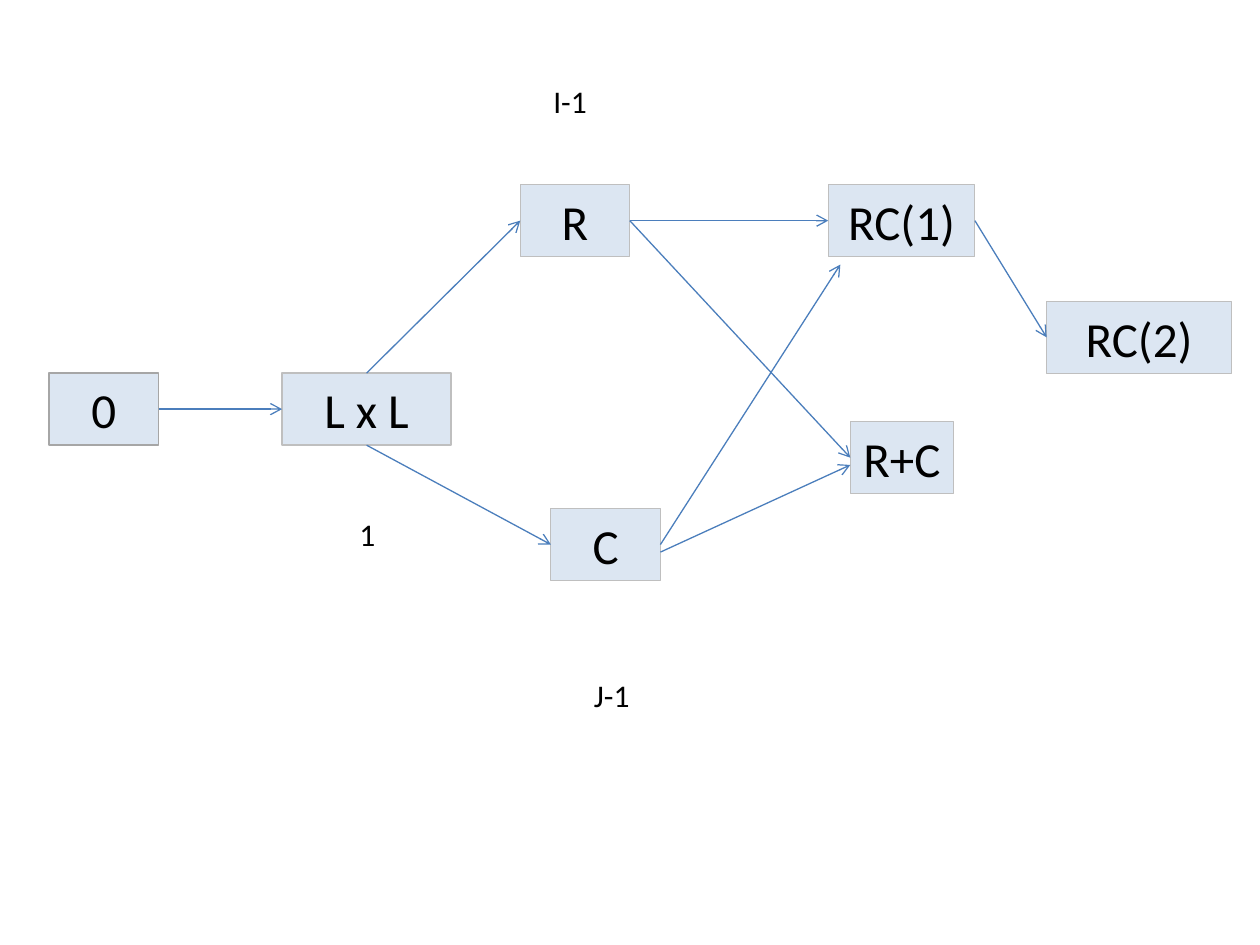
from pptx import Presentation, util as u
from pptx.dml.color import RGBColor
from pptx.enum import shapes, text
from pptx.oxml.ns import qn
from lxml import etree

Pt = u.Pt
HUES = {"fill": "DCE6F2", "edge": "BFBFBF", "start": "A6A6A6",
        "link": "4B7EBC", "text": "000000"}
TOP, LEFT, BOTTOM, RIGHT = range(4)
HIGH = 41.2


def write(shape, words, size=28, wrap=True):
    """Put centred text in a shape."""
    frame = shape.text_frame
    frame.word_wrap = wrap
    frame.auto_size = text.MSO_AUTO_SIZE.SHAPE_TO_FIT_TEXT
    para = frame.paragraphs[0]
    para.alignment = text.PP_ALIGN.CENTER
    run = para.add_run()
    run.text = words
    run.font.size = Pt(size)
    run.font.name = "Calibri"
    run.font.color.rgb = RGBColor.from_string(HUES["text"])


def link(start, end):
    """Draw an arrow between two points and return it."""
    line = slide.shapes.add_connector(
        shapes.MSO_CONNECTOR.STRAIGHT, *map(Pt, start + end))
    line.line.color.rgb = RGBColor.from_string(HUES["link"])
    line.line.width = Pt(0.75)
    tail = etree.SubElement(line.line._get_or_add_ln(), qn("a:tailEnd"))
    tail.set("type", "arrow")
    etree.SubElement(line._element.spPr, qn("a:effectLst"))
    return line


prs = Presentation()
prs.slide_width, prs.slide_height = Pt(720), Pt(540)
slide = prs.slides.add_slide(prs.slide_layouts[6])

# Nodes: words, left, top, width, edge colour, wrap
nodes = [
    ("0", 28.1, 213.2, 62.6, "start", True),
    ("L x L", 161.2, 213.2, 96.6, "edge", True),
    ("R", 297.3, 105.5, 62.6, "edge", True),
    ("C", 314.8, 290.6, 62.6, "edge", True),
    ("RC(1)", 473.3, 105.5, 83.8, "edge", True),
    ("RC(2)", 598.1, 172.2, 105.6, "edge", True),
    ("R+C", 485.9, 240.9, 59, "edge", False),
]
boxes = {}
for words, left, top, wide, edge, wrap in nodes:
    box = slide.shapes.add_shape(
        shapes.MSO_SHAPE.RECTANGLE, Pt(left), Pt(top), Pt(wide), Pt(HIGH))
    box.shadow.inherit = False
    box.fill.solid()
    box.fill.fore_color.rgb = RGBColor.from_string(HUES["fill"])
    box.line.color.rgb = RGBColor.from_string(HUES[edge])
    box.line.width = Pt(0.75)
    write(box, words, wrap=wrap)
    boxes[words] = box

# Arrows glued to the middles of box sides
for head, exit, tail, entry in [
    ("0", RIGHT, "L x L", LEFT),
    ("L x L", TOP, "R", LEFT),
    ("L x L", BOTTOM, "C", LEFT),
    ("R", RIGHT, "RC(1)", LEFT),
    ("R", RIGHT, "R+C", LEFT),
    ("RC(1)", RIGHT, "RC(2)", LEFT),
]:
    line = link((0, 0), (0, 0))
    line.begin_connect(boxes[head], exit)
    line.end_connect(boxes[tail], entry)

# Arrows from C that end off the middles
link((377.4, 315.5), (485.9, 265.7))
link((377.4, 311.2), (480.2, 151.2))

# Counts beside the columns of nodes
for words, left, top, wide, wrap in [
    ("1", 184.3, 290.9, 51.1, True),
    ("I-1", 308.9, 43.2, 33.8, False),
    ("J-1", 331.9, 383, 35.3, False),
]:
    note = slide.shapes.add_textbox(Pt(left), Pt(top), Pt(wide), Pt(29))
    write(note, words, size=18, wrap=wrap)

prs.save("out.pptx")
